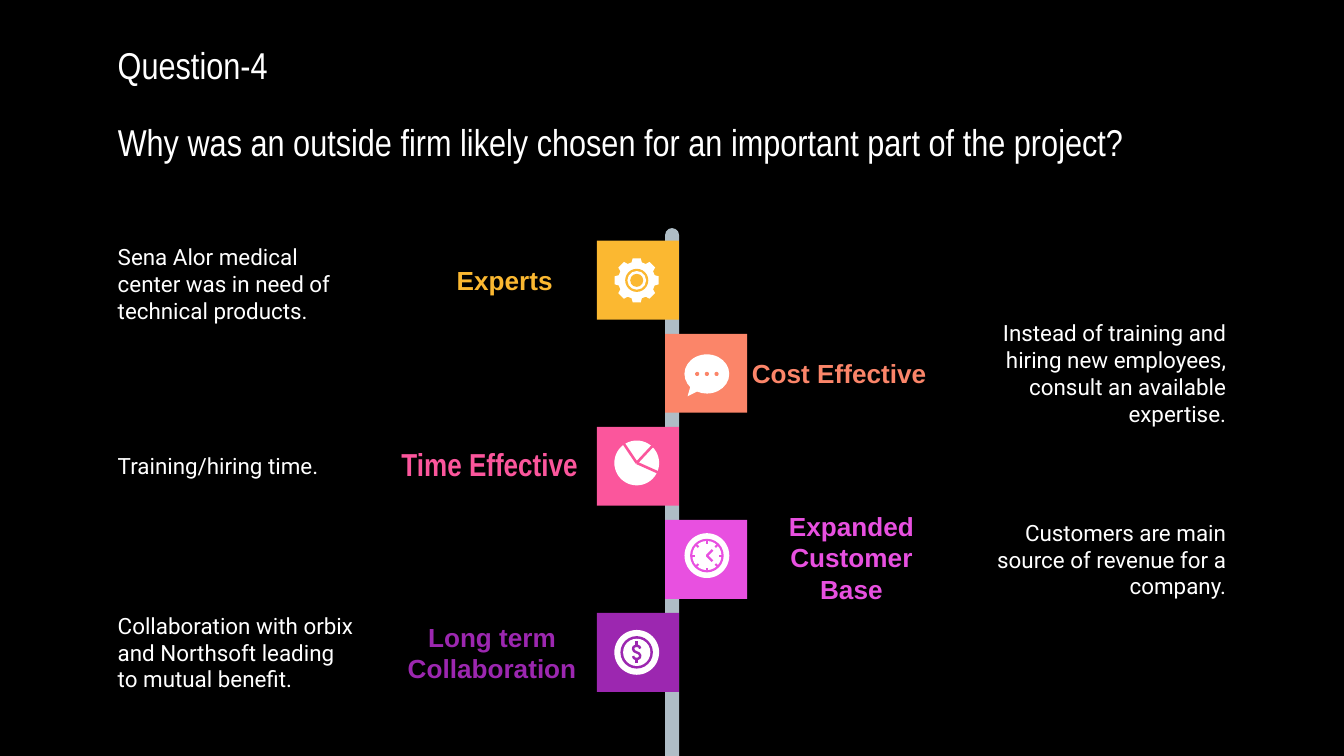
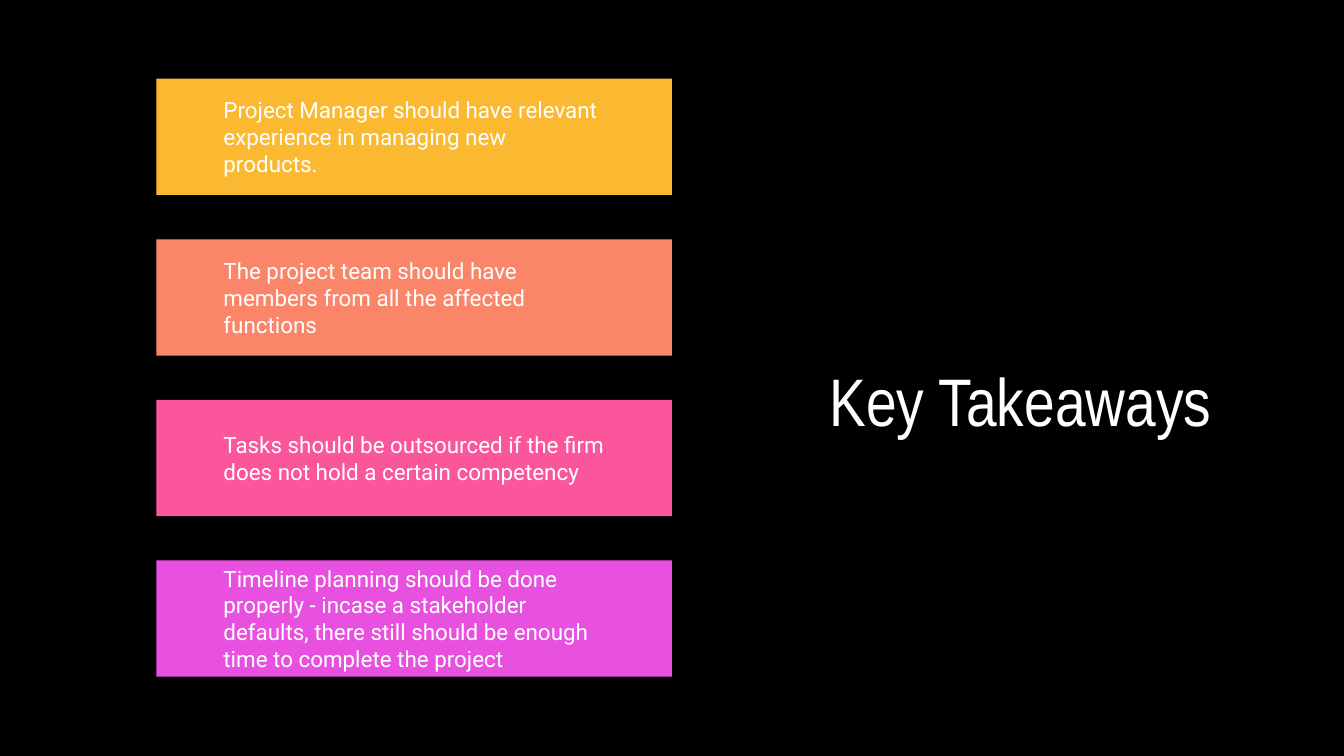
from dataclasses import dataclass
from math import cos, pi, sin
from typing import Callable

from pptx import Presentation
from pptx.dml.color import RGBColor
from pptx.enum.shapes import MSO_CONNECTOR, MSO_SHAPE
from pptx.enum.text import MSO_ANCHOR, PP_ALIGN
from pptx.oxml import parse_xml
from pptx.shapes.base import BaseShape
from pptx.slide import Slide
from pptx.util import Pt

WHITE, BLACK, SPINE = "FFFFFF", "000000", "AFBDC6"
AMBER, CORAL, PINK, ORCHID, PURPLE = "FBB831", "FB8569", "FB569C", "E850E0", "9C27B0"
HEAD, LABEL, BODY = "Arial Narrow", "Arial", "Roboto"
EDGE = 56
NOTCH = 9.6
EFFECTS = '<a:effectLst xmlns:a="http://schemas.openxmlformats.org/drawingml/2006/main"/>'

Point = tuple[float, float]


@dataclass
class Box:
    left: float
    top: float
    width: float
    height: float

    def lengths(self) -> tuple[Pt, Pt, Pt, Pt]:
        return Pt(self.left), Pt(self.top), Pt(self.width), Pt(self.height)


@dataclass
class Style:
    font: str
    size: float
    color: str = WHITE
    bold: bool = False
    align: PP_ALIGN = PP_ALIGN.LEFT


@dataclass
class Reason:
    label: str
    detail: str
    color: str
    box: Box
    icon: Callable[[Slide, float, float, str], None]
    drop: float
    font: str = LABEL
    size: float = 14
    shift: float = 0


def rgb(color: str) -> RGBColor:
    return RGBColor.from_string(color)


def write(shape: BaseShape, text: str, style: Style, side: float = 7.2,
          edge: float = 7.2, wrap: bool = True) -> None:
    frame = shape.text_frame
    frame.text = text
    frame.word_wrap = wrap
    frame.vertical_anchor = MSO_ANCHOR.MIDDLE
    frame.margin_left = frame.margin_right = Pt(side)
    frame.margin_top = frame.margin_bottom = Pt(edge)
    line = frame.paragraphs[0]
    line.alignment = style.align
    for run in line.runs:
        run.font.name = style.font
        run.font.size = Pt(style.size)
        run.font.bold = style.bold
        run.font.color.rgb = rgb(style.color)


def add_text(slide: Slide, box: Box, text: str, style: Style,
             edge: float = 7.2, wrap: bool = True) -> None:
    write(slide.shapes.add_textbox(*box.lengths()), text, style, edge=edge, wrap=wrap)


def paint(shape: BaseShape, color: str) -> BaseShape:
    shape.shadow.inherit = False
    shape.fill.solid()
    shape.fill.fore_color.rgb = rgb(color)
    shape.line.fill.background()
    return shape


def add_block(slide: Slide, box: Box, color: str,
              kind: MSO_SHAPE = MSO_SHAPE.RECTANGLE) -> BaseShape:
    return paint(slide.shapes.add_shape(kind, *box.lengths()), color)


def add_disc(slide: Slide, x: float, y: float, radius: float, color: str) -> None:
    add_block(slide, Box(x - radius, y - radius, 2 * radius, 2 * radius), color, MSO_SHAPE.OVAL)


def add_discs(slide: Slide, x: float, y: float, radii: list[float], color: str) -> None:
    """Stack discs from large to small, white first, then by turns."""
    for i, radius in enumerate(radii):
        add_disc(slide, x, y, radius, color if i % 2 else WHITE)


def add_line(slide: Slide, start: Point, end: Point, color: str, width: float) -> None:
    line = slide.shapes.add_connector(
        MSO_CONNECTOR.STRAIGHT, *(Pt(v) for v in (*start, *end)))
    line.line.color.rgb = rgb(color)
    line.line.width = Pt(width)
    line._element.spPr.append(parse_xml(EFFECTS))


def add_path(slide: Slide, points: list[Point], close: bool) -> BaseShape:
    """Build an outline to a hundredth of a point."""
    first, *rest = [(x * 100, y * 100) for x, y in points]
    path = slide.shapes.build_freeform(*first, scale=Pt(1) / 100)
    path.add_line_segments(rest, close=close)
    return path.convert_to_shape()


def add_stroke(slide: Slide, points: list[Point], color: str, width: float,
               close: bool = False) -> BaseShape:
    shape = add_path(slide, points, close)
    shape.shadow.inherit = False
    shape.fill.background()
    shape.line.color.rgb = rgb(color)
    shape.line.width = Pt(width)
    return shape


def add_flag(slide: Slide, box: Box, left: bool) -> BaseShape:
    """Outline a pennant whose notched end points away from the spine."""
    near, far = box.left, box.left + box.width
    notch = far - NOTCH
    if left:
        near, far, notch = far, near, near + NOTCH
    low = box.top + box.height
    points = [(near, low), (far, low), (notch, box.top + box.height / 2),
              (far, box.top), (near, box.top)]
    return add_stroke(slide, points, BLACK, 0.75, True)


def polar(x: float, y: float, radius: float, angle: float) -> Point:
    return x + radius * cos(angle), y + radius * sin(angle)


def draw_gear(slide: Slide, x: float, y: float, color: str) -> None:
    tooth = [(-0.28, 10), (-0.18, 12), (0.18, 12), (0.28, 10)]
    rim = [polar(x, y, radius, i * pi / 4 + turn)
           for i in range(8) for turn, radius in tooth]
    paint(add_path(slide, rim, True), WHITE)
    for radius, fill in ((6.2, color), (5, WHITE), (3.5, color)):
        add_disc(slide, x, y, radius, fill)


def draw_chat(slide: Slide, x: float, y: float, color: str) -> None:
    bubble = add_block(slide, Box(x - 12, y - 10.5, 24, 21), WHITE, MSO_SHAPE.OVAL_CALLOUT)
    bubble.adjustments[0] = -0.43
    bubble.adjustments[1] = 0.57
    for step in (-1, 0, 1):
        add_disc(slide, x + 5.2 * step, y, 1.1, color)


def draw_pie(slide: Slide, x: float, y: float, color: str) -> None:
    add_disc(slide, x, y, 12, WHITE)
    for dx, dy in ((-7, -10.4), (8.4, -9), (11.2, 5)):
        add_line(slide, (x, y), (x + dx, y + dy), color, 1.4)


def draw_clock(slide: Slide, x: float, y: float, color: str) -> None:
    add_discs(slide, x, y, [12, 9, 7.8], color)
    for i in range(8):
        angle = i * pi / 4
        add_line(slide, polar(x, y, 8, angle), polar(x, y, 6.4, angle), color, 1.1)
    add_stroke(slide, [(x + 3, y - 3), (x, y), (x + 3, y + 3)], color, 1.2)


def draw_coin(slide: Slide, x: float, y: float, color: str) -> None:
    add_discs(slide, x, y, [12, 8.7, 7.3], color)
    half = [(1.9, -2), (1.5, -3), (0.5, -3.5), (-0.6, -3.5),
            (-1.7, -2.8), (-1.9, -1.7), (-1.3, -0.6)]
    curve = half + [(-dx, -dy) for dx, dy in reversed(half)]
    add_stroke(slide, [(x + dx, y + dy) for dx, dy in curve], color, 1.3)
    for sign in (-1, 1):
        add_line(slide, (x, y + 3.5 * sign), (x, y + 5.8 * sign), color, 1.3)


REASONS = [
    Reason("Experts", "Sena Alor medical center was in need of technical products.",
           AMBER, Box(214.6, 134.6, 111.6, 31), draw_gear, 21.2, shift=2),
    Reason("Cost Effective",
           "Instead of training and hiring new employees, consult an available expertise.",
           CORAL, Box(393.8, 184.4, 111.6, 31), draw_chat, 21.5),
    Reason("Time Effective", "Training/hiring time.",
           PINK, Box(198.2, 229, 128.2, 39.3), draw_pie, 19.3, HEAD, 17),
    Reason("Expanded Customer Base", "Customers are main source of revenue for a company.",
           ORCHID, Box(400, 273.8, 112.3, 49.7), draw_clock, 19.1),
    Reason("Long term Collaboration",
           "Collaboration with orbix and Northsoft leading to mutual benefit.",
           PURPLE, Box(207.5, 327.4, 112.3, 44.3), draw_coin, 21.1),
]

LESSONS = [
    (AMBER, "Project Manager should have relevant experience in managing new products."),
    (CORAL, "The project team should have members from all the affected functions"),
    (PINK, "Tasks should be outsourced if the firm does not hold a certain competency"),
    (ORCHID, "Timeline planning should be done properly - incase a stakeholder defaults, "
             "there still should be enough time to complete the project"),
]


def add_reason(slide: Slide, row: int, item: Reason) -> None:
    top = 129 + 49.85 * row
    left = row % 2 == 0
    x = 319.8 if left else 356.3
    write(add_flag(slide, item.box, left), item.label,
          Style(item.font, item.size, item.color, True, PP_ALIGN.CENTER))
    add_block(slide, Box(x, top, 44, 42.3), item.color)
    align = PP_ALIGN.LEFT if left else PP_ALIGN.RIGHT
    add_text(slide, Box(EDGE if left else 521.6, top + item.shift, 142.4, 42),
             item.detail, Style(BODY, 12, align=align))
    item.icon(slide, x + (21.3 if left else 22.4), top + item.drop, item.color)


def add_page(deck: Presentation) -> Slide:
    slide = deck.slides.add_slide(deck.slide_layouts[6])
    slide.background.fill.solid()
    slide.background.fill.fore_color.rgb = rgb(BLACK)
    return slide


def add_reasons(deck: Presentation) -> None:
    slide = add_page(deck)
    add_text(slide, Box(EDGE, 56.9, 608.4, 38.2),
             "Why was an outside firm likely chosen for an important part of the project?",
             Style(HEAD, 20))
    add_text(slide, Box(EDGE, 18.9, 100, 31.5), "Question-4",
             Style(HEAD, 20), edge=3.6, wrap=False)
    spine = add_block(slide, Box(356.3, 122.2, 7.5, 282.8), SPINE,
                      MSO_SHAPE.ROUND_2_SAME_RECTANGLE)
    spine.adjustments[0] = 0.5
    for row, item in enumerate(REASONS):
        add_reason(slide, row, item)


def add_lessons(deck: Presentation) -> None:
    slide = add_page(deck)
    for row, (color, text) in enumerate(LESSONS):
        band = add_block(slide, Box(83.7, 42.2 + 86 * row, 276.3, 62.3), color)
        write(band, text, Style(BODY, 12), side=36)
    add_text(slide, Box(425, 180.6, 231, 67), "Key Takeaways",
             Style(HEAD, 36, align=PP_ALIGN.RIGHT))


def main() -> None:
    deck = Presentation()
    deck.slide_width, deck.slide_height = Pt(720), Pt(405)
    add_reasons(deck)
    add_lessons(deck)
    deck.save("out.pptx")


if __name__ == "__main__":
    main()
